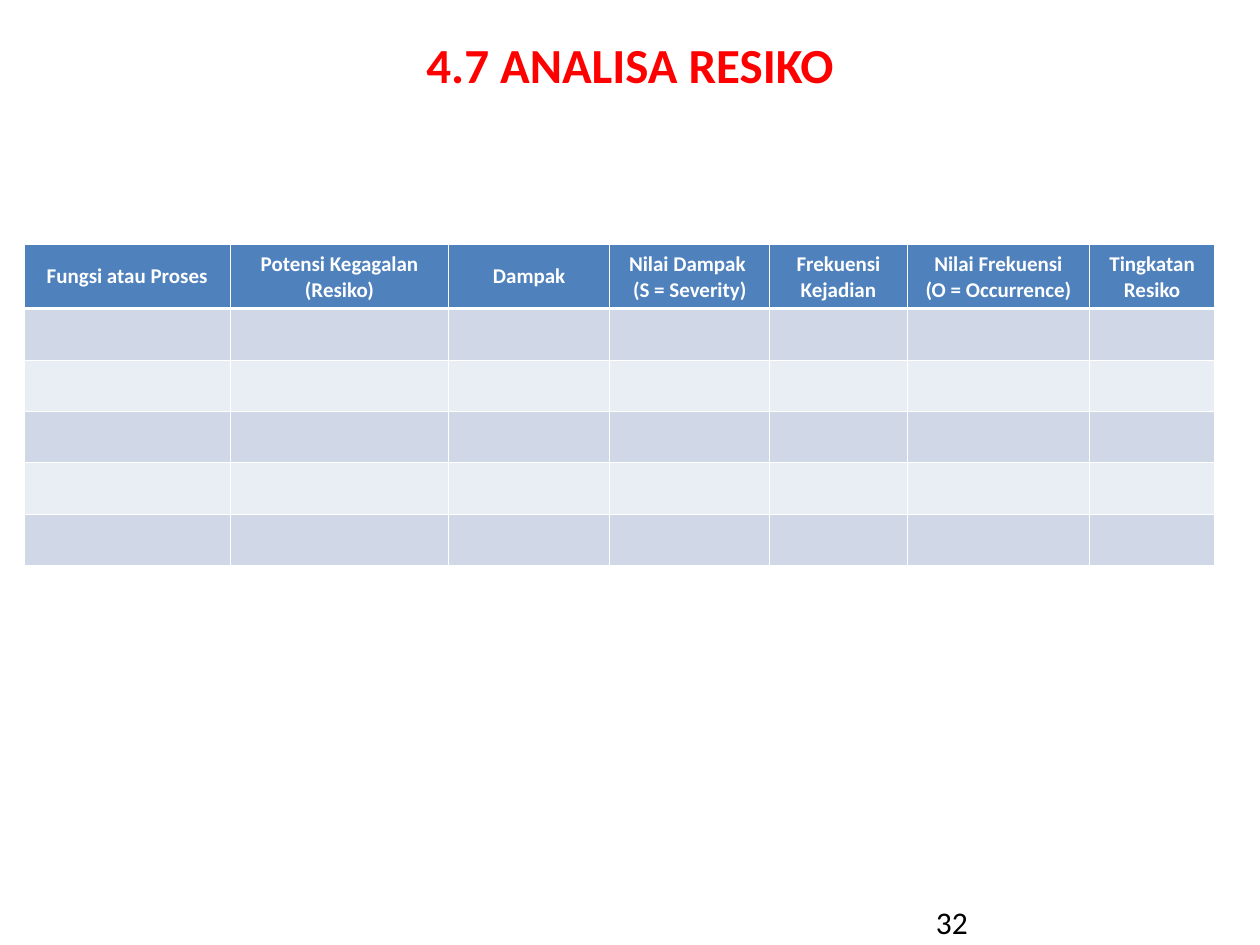
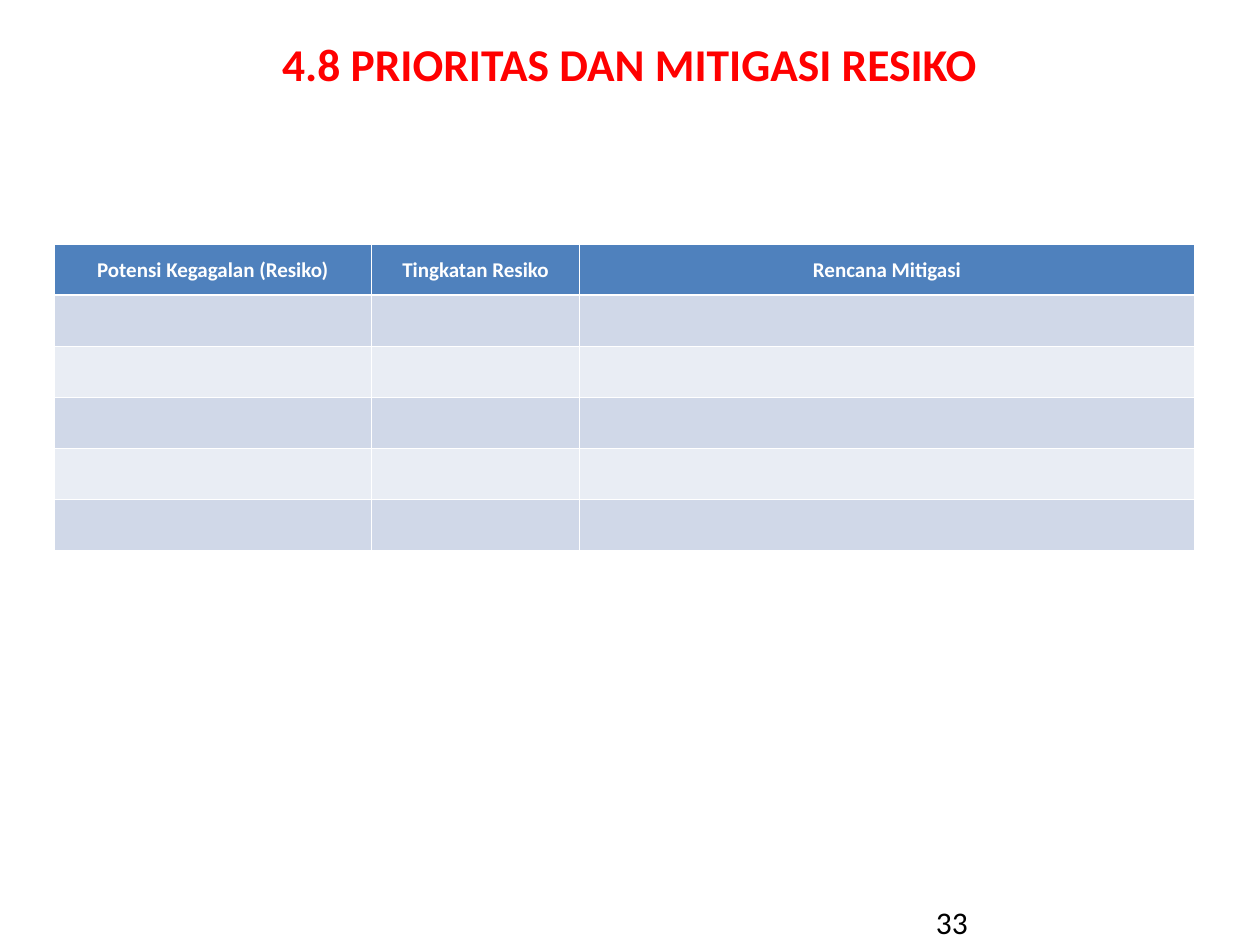
from dataclasses import dataclass

from lxml import etree
from pptx import Presentation
from pptx.dml.color import RGBColor
from pptx.enum.text import MSO_ANCHOR, PP_ALIGN
from pptx.oxml.ns import qn
from pptx.util import Inches, Pt

LEFT, CENTER = PP_ALIGN.LEFT, PP_ALIGN.CENTER
TOP, MIDDLE = MSO_ANCHOR.TOP, MSO_ANCHOR.MIDDLE


@dataclass(frozen=True)
class Theme:
    font: str = "Calibri"
    title: str = "FF0000"
    text: str = "000000"
    white: str = "FFFFFF"
    header: str = "4F81BD"
    bands: tuple = ("D0D8E8", "E9EDF4")
    header_size: float = 12
    page_size: float = 18
    thin_line: float = 0.45
    thick_line: float = 1.47
    header_spacing: float = 1.02


class Deck:
    TABLE_TOP = 1.94
    BODY_ROWS = 5

    def __init__(self, theme):
        self.theme = theme
        self.prs = Presentation()
        self.prs.slide_width, self.prs.slide_height = Inches(10), Inches(7.5)
        self.s = None

    def add_slide(self, title, title_size, page):
        t = self.theme
        self.s = self.prs.slides.add_slide(self.prs.slide_layouts[6])
        self.text(page, (7.33, 7.12, 2.33, 0.4), t.page_size, t.text)
        self.text(title, (0.5, 0.01, 9, 0.99), title_size, t.title,
                  bold=True, align=CENTER, anchor=MIDDLE)

    def text(self, text, box, size, color, bold=False, align=LEFT, anchor=TOP):
        tf = self.s.shapes.add_textbox(*map(Inches, box)).text_frame
        tf.word_wrap = True
        tf.vertical_anchor = anchor
        tf.text = text
        self.format(tf, size, color, bold, align)

    def format(self, tf, size, color, bold, align):
        for p in tf.paragraphs:
            p.alignment = align
            for r in p.runs:
                r.font.name = self.theme.font
                r.font.size = Pt(size)
                r.font.bold = bold
                r.font.color.rgb = RGBColor.from_string(color)

    def table(self, left, height, header_height, columns):
        """Add a banded form table; columns holds (heading, width) pairs."""
        width = sum(w for _, w in columns)
        table = self.s.shapes.add_table(
            self.BODY_ROWS + 1, len(columns), Inches(left),
            Inches(self.TABLE_TOP), Inches(width), Inches(height)).table
        body_height = (height - header_height) / self.BODY_ROWS
        for i, row in enumerate(table.rows):
            row.height = Inches(body_height if i else header_height)
            for cell in row.cells:
                self.style_cell(cell, i)
        for i, (heading, col_width) in enumerate(columns):
            table.columns[i].width = Inches(col_width)
            self.header_text(table.cell(0, i), heading)

    def header_text(self, cell, heading):
        t = self.theme
        tf = cell.text_frame
        tf.text = heading
        cell.vertical_anchor = MIDDLE
        self.format(tf, t.header_size, t.white, True, CENTER)
        for p in tf.paragraphs:
            p.line_spacing = t.header_spacing

    def style_cell(self, cell, row):
        t = self.theme
        top = t.thick_line if row == 1 else t.thin_line
        bottom = t.thick_line if row == 0 else t.thin_line
        self.borders(cell, L=t.thin_line, R=t.thin_line, T=top, B=bottom)
        color = t.bands[(row - 1) % 2] if row else t.header
        cell.fill.solid()
        cell.fill.fore_color.rgb = RGBColor.from_string(color)

    def borders(self, cell, **widths):
        tc_pr = cell._tc.get_or_add_tcPr()
        for side, width in widths.items():
            ln = etree.SubElement(tc_pr, qn(f"a:ln{side}"), w=str(Pt(width)))
            fill = etree.SubElement(ln, qn("a:solidFill"))
            etree.SubElement(fill, qn("a:srgbClr"), val=self.theme.white)


def main():
    deck = Deck(Theme())

    deck.add_slide("4.7 ANALISA RESIKO", 28, "32")
    deck.table(0.19, 2.54, 0.5, [
        ("Fungsi atau Proses", 1.64),
        ("Potensi Kegagalan (Resiko)", 1.73),
        ("Dampak", 1.28),
        ("Nilai Dampak \n(S = Severity)", 1.27),
        ("Frekuensi Kejadian", 1.09),
        ("Nilai Frekuensi\n(O = Occurrence)", 1.45),
        ("Tingkatan Resiko", 0.99),
    ])

    deck.add_slide("4.8 PRIORITAS DAN MITIGASI RESIKO", 26, "33")
    deck.table(0.43, 2.43, 0.4, [
        ("Potensi Kegagalan (Resiko)", 2.52),
        ("Tingkatan Resiko", 1.65),
        ("Rencana Mitigasi", 4.88),
    ])

    deck.prs.save("out.pptx")


if __name__ == "__main__":
    main()
